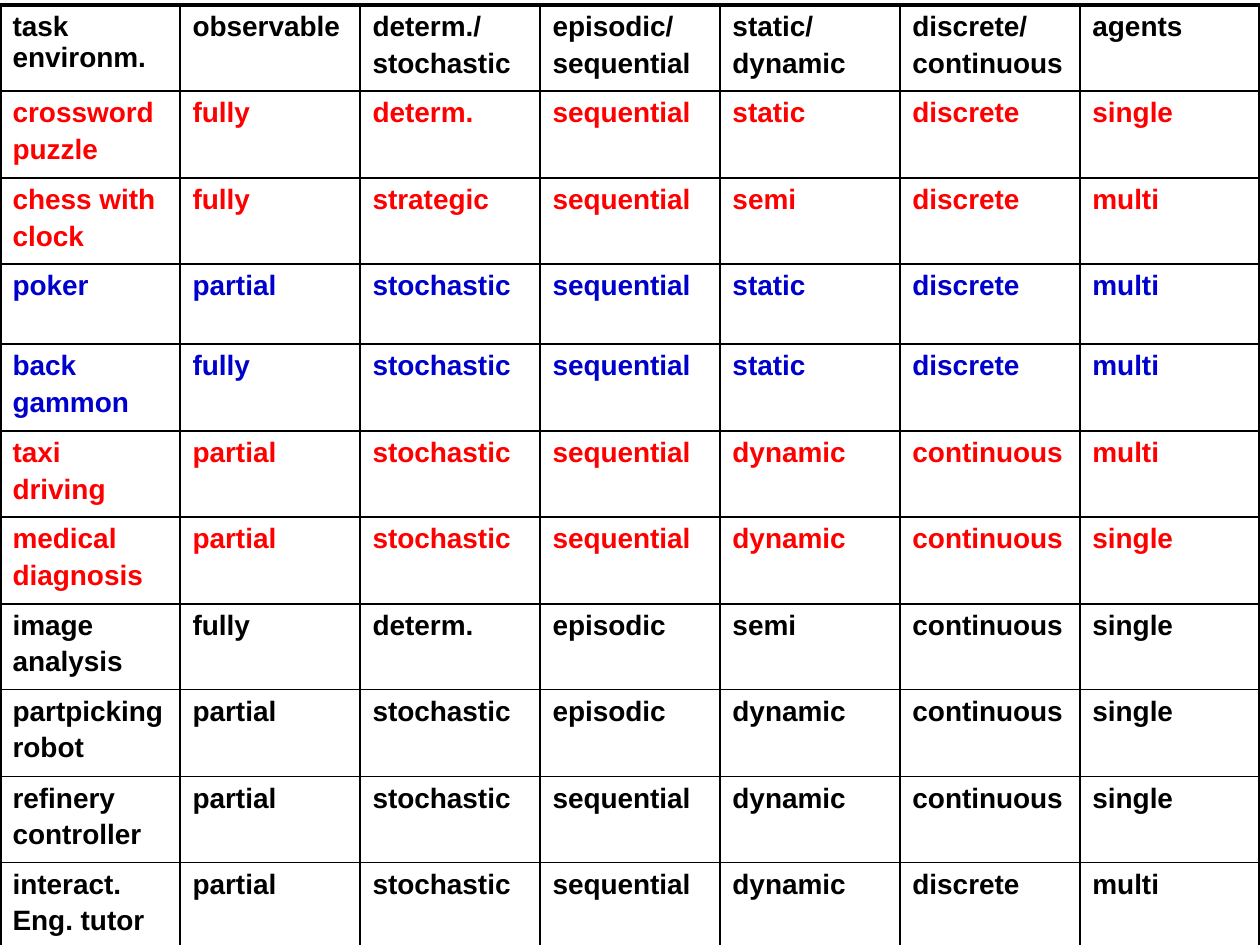
from dataclasses import dataclass

from lxml.etree import SubElement
from pptx import Presentation
from pptx.dml.color import RGBColor
from pptx.oxml.ns import qn
from pptx.util import Emu, Pt

EMU_PER_INCH = 914400
PX_PER_INCH = 126
SLIDE_WIDTH, SLIDE_HEIGHT = 1260, 945
TABLE_TOP = 5
COLUMN_WIDTH = 180
ROW_HEIGHTS = [86, 87, 86, 80, 87, 86, 87, 86, 87, 86, 87]


@dataclass(frozen=True)
class Theme:
    """Colours, type and line weights of the slide."""

    font: str = "Arial"
    text_size: float = 16
    space_before: float = 3.2
    black: str = "000000"
    red: str = "FF0000"
    blue: str = "0000CC"
    inner_line: float = 0.96
    outer_line: float = 2.21


THEME = Theme()

ENVIRONMENTS = [
    (THEME.black, ["task environm.", "observable", "determ./\nstochastic", "episodic/\nsequential",
                   "static/\ndynamic", "discrete/\ncontinuous", "agents"]),
    (THEME.red, ["crossword\npuzzle", "fully", "determ.", "sequential", "static", "discrete", "single"]),
    (THEME.red, ["chess with\nclock", "fully", "strategic", "sequential", "semi", "discrete", "multi"]),
    (THEME.blue, ["poker", "partial", "stochastic", "sequential", "static", "discrete", "multi"]),
    (THEME.blue, ["back\ngammon", "fully", "stochastic", "sequential", "static", "discrete", "multi"]),
    (THEME.red, ["taxi\ndriving", "partial", "stochastic", "sequential", "dynamic", "continuous", "multi"]),
    (THEME.red, ["medical\ndiagnosis", "partial", "stochastic", "sequential", "dynamic", "continuous", "single"]),
    (THEME.black, ["image\nanalysis", "fully", "determ.", "episodic", "semi", "continuous", "single"]),
    (THEME.black, ["partpicking\nrobot", "partial", "stochastic", "episodic", "dynamic", "continuous", "single"]),
    (THEME.black, ["refinery\ncontroller", "partial", "stochastic", "sequential", "dynamic", "continuous", "single"]),
    (THEME.black, ["interact.\nEng. tutor", "partial", "stochastic", "sequential", "dynamic", "discrete", "multi"]),
]


def px(length):
    """Turn pixels into EMU."""
    return Emu(round(length * EMU_PER_INCH / PX_PER_INCH))


def write_cell(cell, text, color):
    """Write the lines of a cell as bold paragraphs in one colour."""
    cell.text_frame.text = text
    for paragraph in cell.text_frame.paragraphs:
        paragraph.space_before = Pt(THEME.space_before)
        for run in paragraph.runs:
            run.font.name = THEME.font
            run.font.size = Pt(THEME.text_size)
            run.font.bold = True
            run.font.color.rgb = RGBColor.from_string(color)


def draw_borders(cell, outer_sides):
    """Draw the four borders of a cell, heavier on the outer sides."""
    properties = cell._tc.get_or_add_tcPr()
    for side in "LRTB":
        weight = THEME.outer_line if side in outer_sides else THEME.inner_line
        line = SubElement(properties, qn(f"a:ln{side}"), w=str(Pt(weight)))
        fill = SubElement(line, qn("a:solidFill"))
        SubElement(fill, qn("a:srgbClr"), val=THEME.black)


def find_outer_sides(row, column, row_count, column_count):
    """Name the sides of a cell that lie on the table edge."""
    edges = {"L": column == 0, "R": column == column_count - 1,
             "T": row == 0, "B": row == row_count - 1}
    return {side for side, is_outer in edges.items() if is_outer}


def add_environment_table(slide):
    """Add the table of task environments and their properties."""
    row_count, column_count = len(ENVIRONMENTS), len(ENVIRONMENTS[0][1])
    table = slide.shapes.add_table(
        row_count, column_count, px(0), px(TABLE_TOP),
        px(column_count * COLUMN_WIDTH), px(sum(ROW_HEIGHTS))).table
    table.first_row = table.horz_banding = False
    for column in table.columns:
        column.width = px(COLUMN_WIDTH)
    for row, (color, texts) in enumerate(ENVIRONMENTS):
        table.rows[row].height = px(ROW_HEIGHTS[row])
        for column, text in enumerate(texts):
            cell = table.cell(row, column)
            write_cell(cell, text, color)
            draw_borders(cell, find_outer_sides(row, column, row_count, column_count))
            cell.fill.background()


def main():
    """Build the slide and save it."""
    presentation = Presentation()
    presentation.slide_width = px(SLIDE_WIDTH)
    presentation.slide_height = px(SLIDE_HEIGHT)
    slide = presentation.slides.add_slide(presentation.slide_layouts[6])
    add_environment_table(slide)
    presentation.save("out.pptx")


if __name__ == "__main__":
    main()
